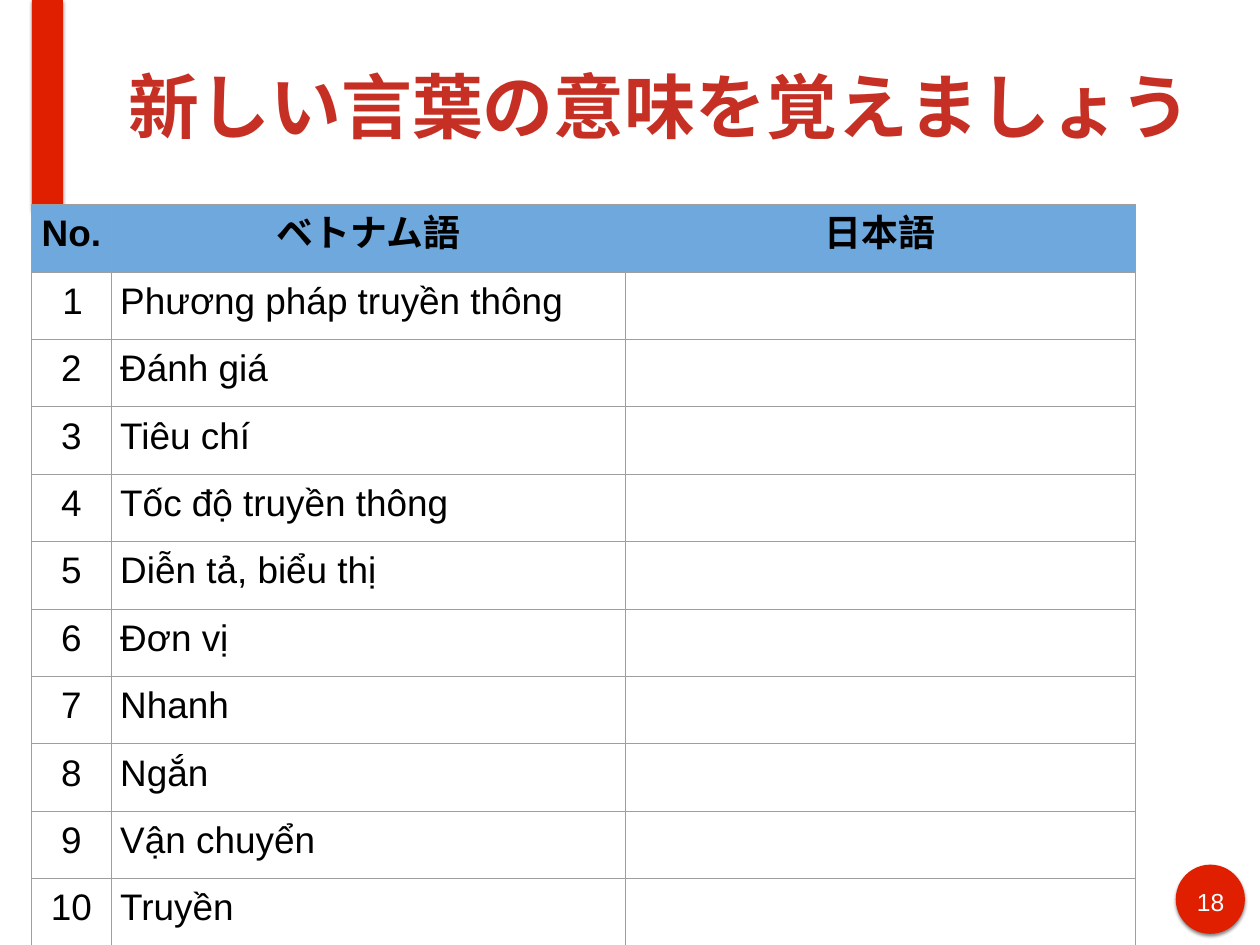
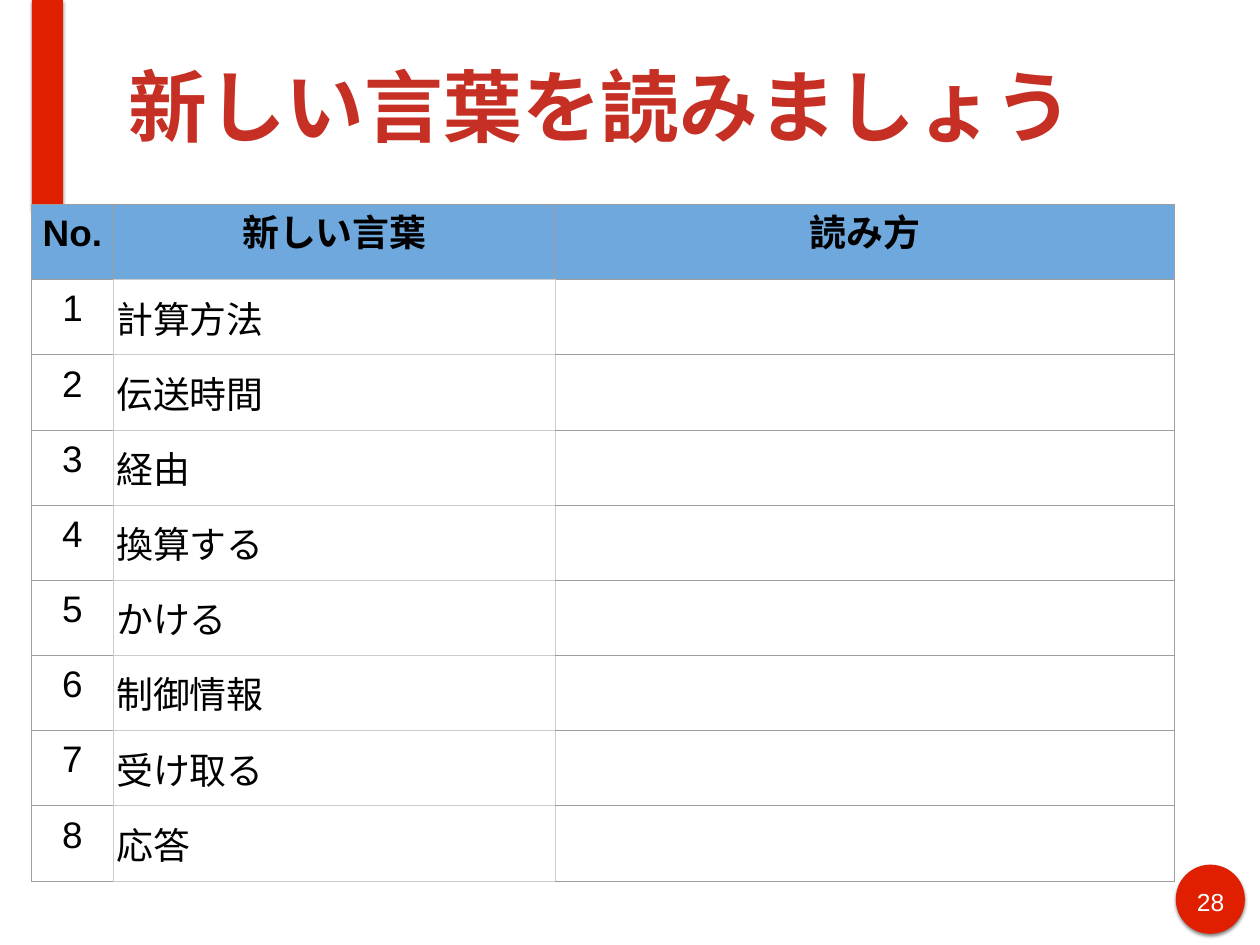
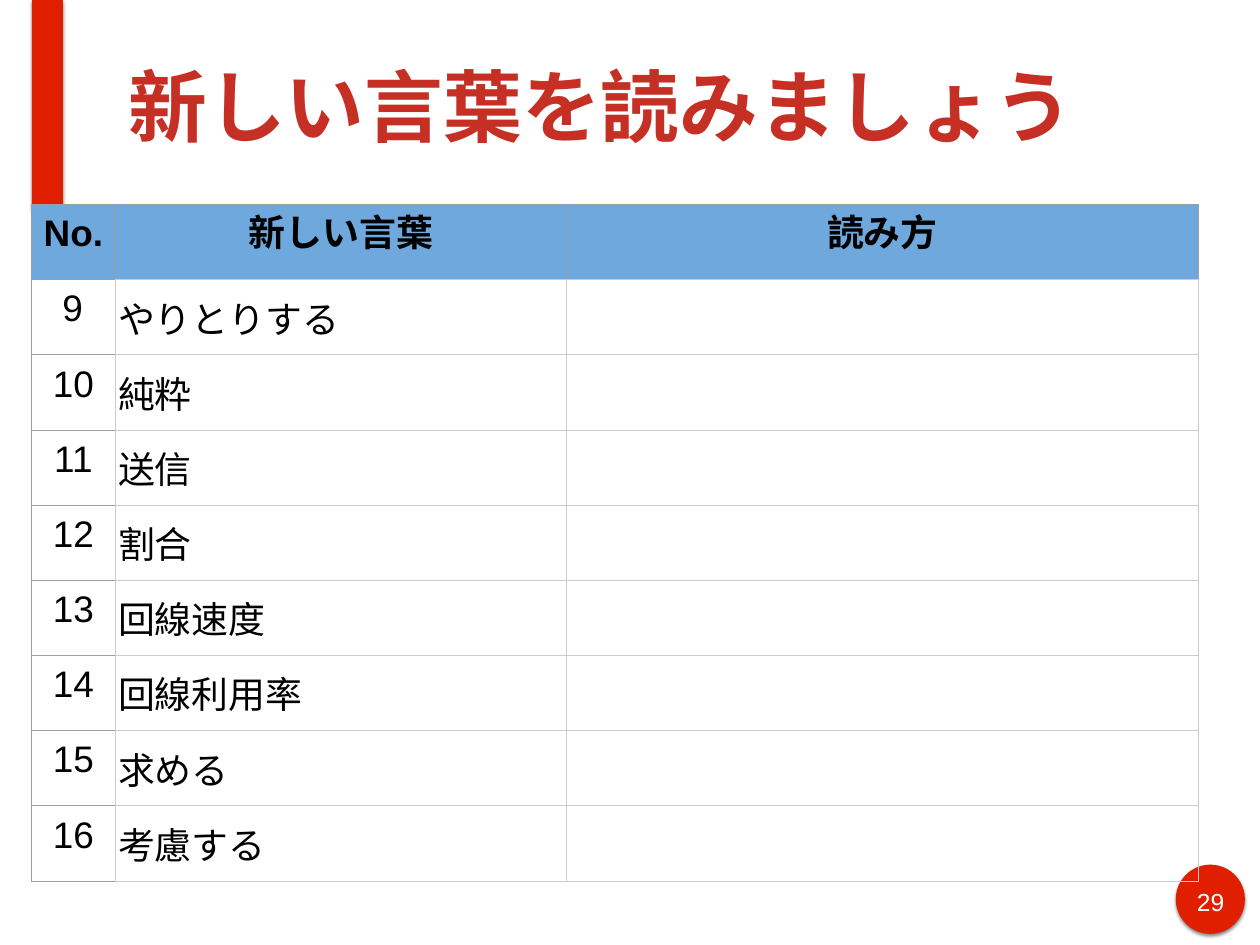
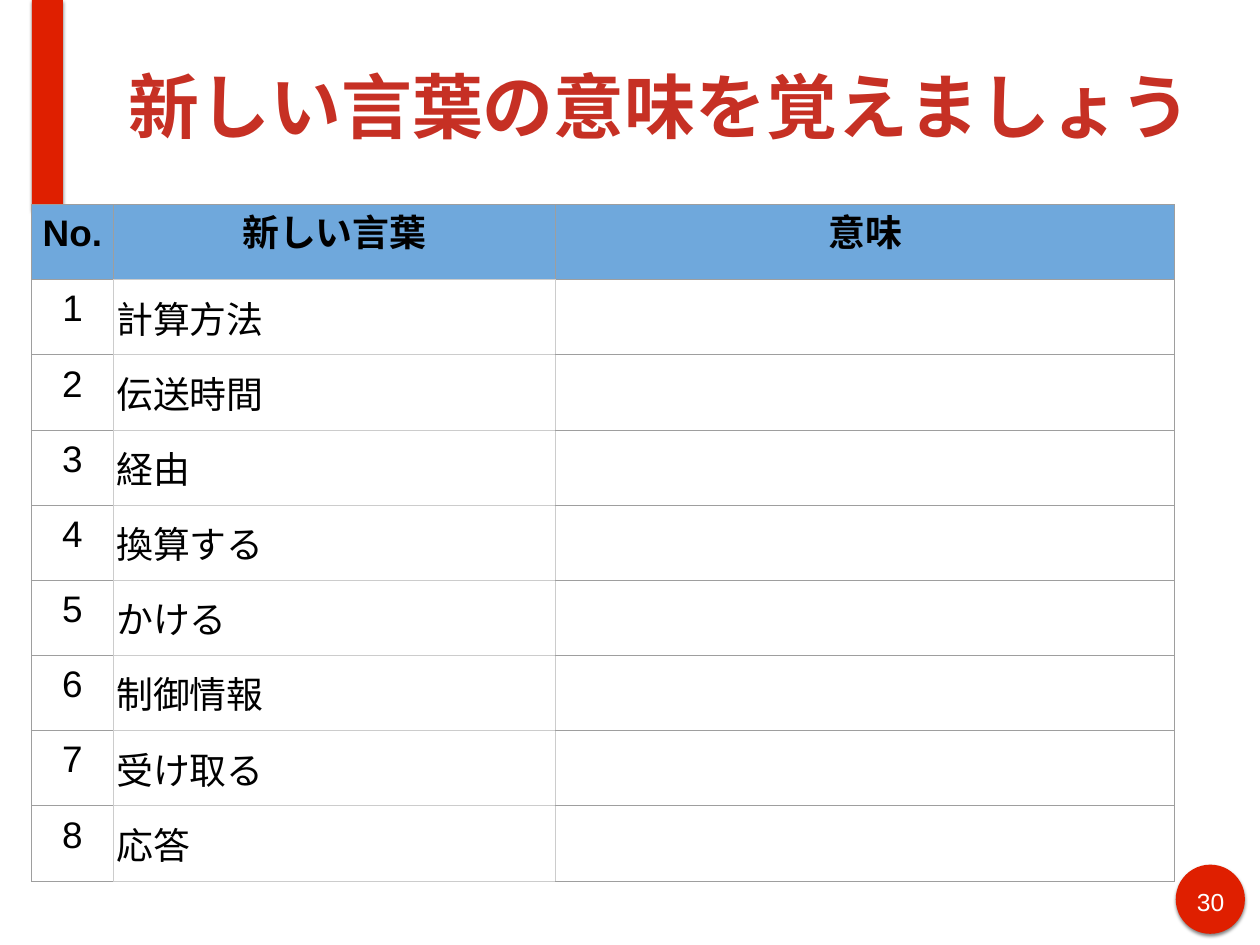
"""Build four vocabulary slides, each with a title and a word table."""

from lxml.etree import SubElement
from pptx import Presentation
from pptx.dml.color import RGBColor
from pptx.enum.shapes import MSO_SHAPE
from pptx.enum.text import MSO_ANCHOR, MSO_AUTO_SIZE, PP_ALIGN
from pptx.oxml.ns import qn
from pptx.util import Pt

RED = RGBColor(0xDF, 0x1F, 0x00)
TITLE_RED = RGBColor(0xC6, 0x30, 0x24)
HEADER_BLUE = RGBColor(0x6F, 0xA8, 0xDC)
BLACK = RGBColor(0x00, 0x00, 0x00)
WHITE = RGBColor(0xFF, 0xFF, 0xFF)
DARK_RULE = RGBColor(0x9E, 0x9E, 0x9E)
LIGHT_RULE = RGBColor(0xCC, 0xCC, 0xCC)

OVAL, RECTANGLE = MSO_SHAPE.OVAL, MSO_SHAPE.RECTANGLE
LEFT, CENTER = PP_ALIGN.LEFT, PP_ALIGN.CENTER
TOP, MIDDLE = MSO_ANCHOR.TOP, MSO_ANCHOR.MIDDLE
NO_AUTOFIT = MSO_AUTO_SIZE.NONE

FONT = "Arial"
TITLE_ONLY = 5
RULE_WIDTH = Pt(0.75)
TABLE_LEFT, TABLE_TOP = Pt(25.5), Pt(166.2)
CELL_INSET, WORD_INSET = Pt(7.2), Pt(2.16)
EDGES = {"a:lnL": (0, -1), "a:lnR": (0, 1), "a:lnT": (-1, 0), "a:lnB": (1, 0)}
FRAME = dict.fromkeys(
    ("margin_left", "margin_top", "margin_right", "margin_bottom"), Pt(4.5)
) | {"word_wrap": True, "auto_size": NO_AUTOFIT}

MEANING_TITLE = ("新しい言葉の意味を覚えましょう", 57.6)
READING_TITLE = ("新しい言葉を読みましょう", 64)
FIRST_WORDS = ["計算方法", "伝送時間", "経由", "換算する", "かける", "制御情報", "受け取る", "応答"]

VIETNAMESE_STYLE = {
    "widths": (65, 417.7, 414.3), "row_height": 54.8, "light_columns": (),
    "word_inset": CELL_INSET, "word_anchor": TOP, "word_spacing": 1.0,
}
JAPANESE_STYLE = {
    "widths": (66.7, 359.2, 503.3), "row_height": 61.1, "light_columns": (1,),
    "word_inset": WORD_INSET, "word_anchor": MIDDLE, "word_spacing": 1.15,
}
WIDE_STYLE = JAPANESE_STYLE | {"widths": (68.3, 366.5, 513.7), "light_columns": (1, 2)}

LESSONS = [
    {
        "page": 18, "title": MEANING_TITLE, "headings": ("ベトナム語", "日本語"),
        "first_number": 1, "style": VIETNAMESE_STYLE,
        "words": [
            "Phương pháp truyền thông", "Đánh giá", "Tiêu chí", "Tốc độ truyền thông",
            "Diễn tả, biểu thị", "Đơn vị", "Nhanh", "Ngắn", "Vận chuyển", "Truyền",
        ],
    },
    {
        "page": 28, "title": READING_TITLE, "headings": ("新しい言葉", "読み方"),
        "first_number": 1, "style": JAPANESE_STYLE, "words": FIRST_WORDS,
    },
    {
        "page": 29, "title": READING_TITLE, "headings": ("新しい言葉", "読み方"),
        "first_number": 9, "style": WIDE_STYLE,
        "words": [
            "やりとりする", "純粋", "送信", "割合",
            "回線速度", "回線利用率", "求める", "考慮する",
        ],
    },
    {
        "page": 30, "title": MEANING_TITLE, "headings": ("新しい言葉", "意味"),
        "first_number": 1, "style": JAPANESE_STYLE, "words": FIRST_WORDS,
    },
]


def apply(target, values):
    """Set every attribute named in values on the target."""
    for name, value in values.items():
        setattr(target, name, value)


class VocabularyDeck:
    """Hold the shared style and the slide being built."""

    def __init__(self):
        """Start an empty deck of the right size."""
        self.deck = Presentation()
        apply(self.deck, {"slide_width": Pt(1024), "slide_height": Pt(768)})
        self.slide = None

    def new_slide(self, page):
        """Add a slide with its red band and numbered badge."""
        self.slide = self.deck.slides.add_slide(self.deck.slide_layouts[TITLE_ONLY])
        self.ornament(OVAL, 955.5, 702.7, 56.2, 56.2)
        self.ornament(RECTANGLE, 26, 0, 25.2, 170)
        number = self.slide.shapes.add_textbox(Pt(966.2), Pt(716.4), Pt(35.3), Pt(28))
        apply(number.text_frame, FRAME)
        self.set_text(number.text_frame, str(page), 20, WHITE, alignment=CENTER)

    def ornament(self, preset, left, top, width, height):
        """Draw a red shape with a soft shadow below it."""
        shape = self.slide.shapes.add_shape(preset, Pt(left), Pt(top), Pt(width), Pt(height))
        shape.fill.solid()
        shape.fill.fore_color.rgb = RED
        shape.line.fill.background()
        shape.shadow.inherit = False
        effects = shape._element.spPr.find(qn("a:effectLst"))
        shadow = SubElement(
            effects, qn("a:outerShdw"), blurRad=str(Pt(3)), dist=str(Pt(2)),
            dir="5400000", rotWithShape="0",
        )
        color = SubElement(shadow, qn("a:srgbClr"), val=str(BLACK))
        SubElement(color, qn("a:alpha"), val="49000")

    def set_text(self, frame, text, size, color, bold=False, **paragraph_format):
        """Put one formatted run in the first paragraph of a frame."""
        paragraph = frame.paragraphs[0]
        apply(paragraph, paragraph_format)
        run = paragraph.add_run()
        run.text = text
        apply(run.font, {"name": FONT, "size": Pt(size), "bold": bold})
        run.font.color.rgb = color
        SubElement(run._r.get_or_add_rPr(), qn("a:ea"), typeface=FONT)
        return paragraph

    def title(self, text, size):
        """Place and fill the title placeholder."""
        heading = self.slide.shapes.title
        apply(heading, {"left": Pt(100), "top": Pt(8.6), "width": Pt(874), "height": Pt(153)})
        apply(heading.text_frame, FRAME | {"vertical_anchor": MIDDLE})
        self.set_text(heading.text_frame, text, size, TITLE_RED, bold=True, alignment=LEFT)

    def cell_rules(self, cell, row, column, light_columns):
        """Rule a cell, lightly where it meets a body cell of a light column."""
        properties = cell._tc.get_or_add_tcPr()
        for tag, (down, across) in EDGES.items():
            neighbours = ((row, column), (row + down, column + across))
            light = any(r > 0 and c in light_columns for r, c in neighbours)
            rule = SubElement(properties, qn(tag), w=str(RULE_WIDTH))
            fill = SubElement(rule, qn("a:solidFill"))
            SubElement(fill, qn("a:srgbClr"), val=str(LIGHT_RULE if light else DARK_RULE))

    def word_table(self, headings, words, first_number, style):
        """Add a table of numbered words with an empty answer column."""
        rows = [("No.", *headings)]
        rows += [(str(number), word, "") for number, word in enumerate(words, first_number)]
        widths = [Pt(width) for width in style["widths"]]
        height = Pt(style["row_height"])
        table = self.slide.shapes.add_table(
            len(rows), len(widths), TABLE_LEFT, TABLE_TOP, sum(widths), height * len(rows)
        ).table
        apply(table, {"first_row": False, "horz_banding": False})
        for column, width in zip(table.columns, widths):
            column.width = width
        for row, texts in enumerate(rows):
            table.rows[row].height = height
            for column, text in enumerate(texts):
                cell = table.cell(row, column)
                self.cell_rules(cell, row, column, style["light_columns"])
                self.fill_cell(cell, text, row, column, style)

    def fill_cell(self, cell, text, row, column, style):
        """Set the fill, margins and text of one table cell."""
        header, word = row == 0, row > 0 and column == 1
        side = style["word_inset"] if word else CELL_INSET
        apply(cell, {
            "margin_left": side, "margin_right": side,
            "margin_top": CELL_INSET, "margin_bottom": CELL_INSET,
            "vertical_anchor": style["word_anchor"] if word else TOP,
        })
        if header:
            cell.fill.solid()
            cell.fill.fore_color.rgb = HEADER_BLUE
        else:
            cell.fill.background()
        if not text:
            return
        hanging = row == 1 and column == 0
        paragraph = self.set_text(
            cell.text_frame, text, 30, BLACK, bold=header,
            alignment=LEFT if word or hanging else CENTER,
            line_spacing=style["word_spacing"] if word else 1.0,
        )
        if hanging:
            properties = paragraph._p.get_or_add_pPr()
            properties.set("marL", str(Pt(36)))
            properties.set("indent", str(Pt(-18)))


def main():
    """Build and save the deck."""
    vocabulary = VocabularyDeck()
    for lesson in LESSONS:
        vocabulary.new_slide(lesson["page"])
        vocabulary.title(*lesson["title"])
        vocabulary.word_table(
            lesson["headings"], lesson["words"], lesson["first_number"], lesson["style"]
        )
    vocabulary.deck.save("out.pptx")


if __name__ == "__main__":
    main()
